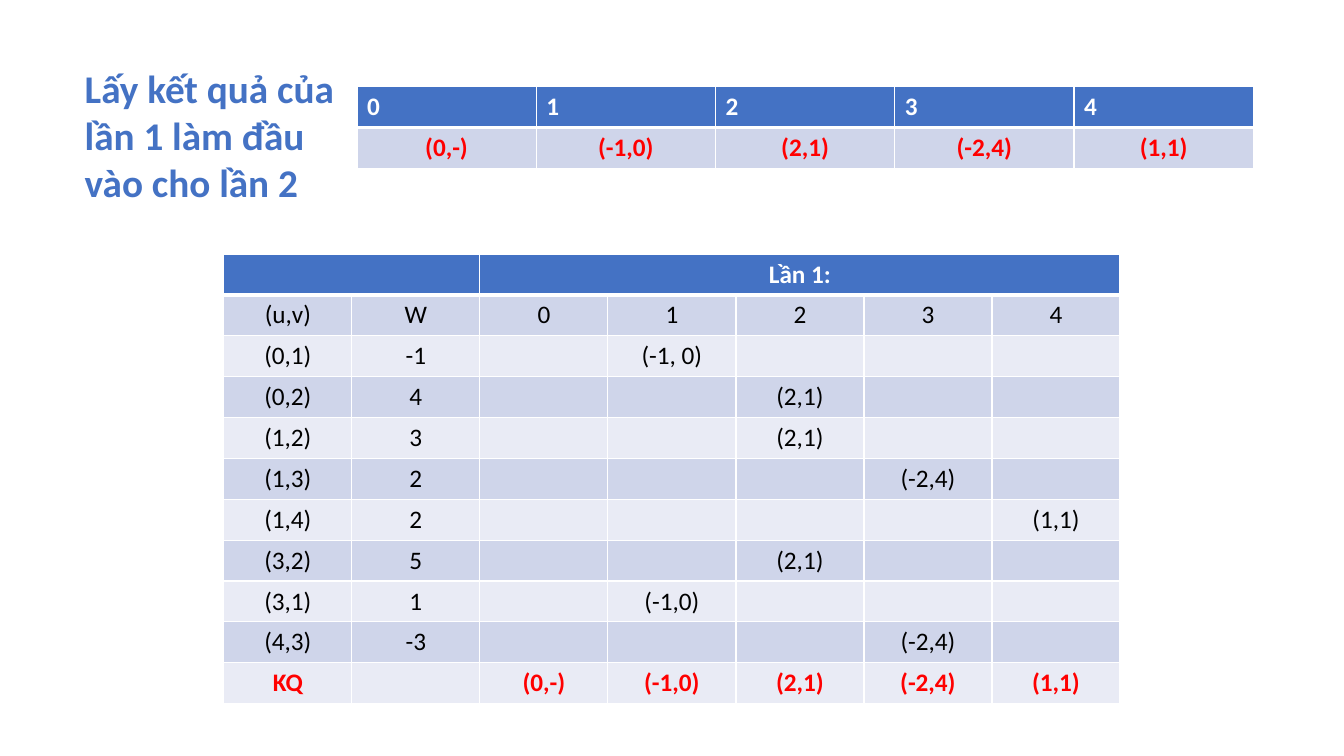
import dataclasses

import lxml.etree
import pptx
import pptx.dml.color
import pptx.enum.text
import pptx.oxml.ns
import pptx.slide
import pptx.table
import pptx.util

Inches = pptx.util.Inches
Pt = pptx.util.Pt
ALIGN = pptx.enum.text.PP_ALIGN
FONT = "Calibri"
COLORS = {
    "blue": "4472C4",
    "dark_band": "CFD5EA",
    "light_band": "E9EBF5",
    "white": "FFFFFF",
    "black": "000000",
    "red": "FF0000",
}


@dataclasses.dataclass
class TableSpec:
    left: float
    top: float
    width: float
    height: float
    rows: list[list[str]]
    header_align: ALIGN
    merges: list[tuple[int, int]]


def rgb(name: str) -> pptx.dml.color.RGBColor:
    return pptx.dml.color.RGBColor.from_string(COLORS[name])


def format_paragraph(paragraph, size: int, color: str, bold: bool, align: ALIGN) -> None:
    paragraph.alignment = align
    for run in paragraph.runs:
        run.font.name = FONT
        run.font.size = Pt(size)
        run.font.bold = bold
        run.font.color.rgb = rgb(color)


def add_borders(cell: pptx.table._Cell, row_index: int) -> None:
    qn = pptx.oxml.ns.qn
    properties = cell._tc.get_or_add_tcPr()
    thick_side = {0: "B", 1: "T"}.get(row_index)
    for side in "LRTB":
        width = Pt(3 if side == thick_side else 1)
        line = lxml.etree.SubElement(properties, qn(f"a:ln{side}"), w=str(width))
        fill = lxml.etree.SubElement(line, qn("a:solidFill"))
        lxml.etree.SubElement(fill, qn("a:srgbClr"), val=COLORS["white"])


def format_cell(cell: pptx.table._Cell, row_index: int, last_row: int, header_align: ALIGN) -> None:
    add_borders(cell, row_index)
    is_header, is_result = row_index == 0, row_index == last_row
    band = "dark_band" if row_index % 2 else "light_band"
    cell.fill.solid()
    cell.fill.fore_color.rgb = rgb("blue" if is_header else band)
    color = "white" if is_header else "red" if is_result else "black"
    align = header_align if is_header else ALIGN.CENTER
    format_paragraph(cell.text_frame.paragraphs[0], 18, color, is_header or is_result, align)


def add_step_table(slide: pptx.slide.Slide, spec: TableSpec) -> None:
    row_count, column_count = len(spec.rows), len(spec.rows[0])
    table = slide.shapes.add_table(
        row_count, column_count,
        Inches(spec.left), Inches(spec.top), Inches(spec.width), Inches(spec.height),
    ).table
    for row_index, texts in enumerate(spec.rows):
        for column_index, text in enumerate(texts):
            cell = table.cell(row_index, column_index)
            cell.text_frame.text = text
            format_cell(cell, row_index, row_count - 1, spec.header_align)
    for first, last in spec.merges:
        table.cell(0, first).merge(table.cell(0, last))


VERTICES = ["0", "1", "2", "3", "4"]
RESULT = ["(0,-)", "(-1,0)", "(2,1)", "(-2,4)", "(1,1)"]
EDGES = [
    ("(0,1)", "-1", 1, "(-1, 0)"),
    ("(0,2)", "4", 2, "(2,1)"),
    ("(1,2)", "3", 2, "(2,1)"),
    ("(1,3)", "2", 3, "(-2,4)"),
    ("(1,4)", "2", 4, "(1,1)"),
    ("(3,2)", "5", 2, "(2,1)"),
    ("(3,1)", "1", 1, "(-1,0)"),
    ("(4,3)", "-3", 3, "(-2,4)"),
]
edge_rows = [
    [edge, weight] + [label if vertex == target else "" for vertex in range(len(VERTICES))]
    for edge, weight, target, label in EDGES
]
first_pass_rows = [
    ["", "", "Lần 1:", "", "", "", ""],
    ["(u,v)", "W"] + VERTICES,
    *edge_rows,
    ["KQ", ""] + RESULT,
]
TABLES = [
    TableSpec(2.22, 2.52, 8.89, 4.46, first_pass_rows, ALIGN.CENTER, [(0, 1), (2, 6)]),
    TableSpec(3.54, 0.86, 8.89, 0.81, [VERTICES, RESULT], ALIGN.LEFT, []),
]

presentation = pptx.Presentation()
presentation.slide_width = Inches(13.33)
presentation.slide_height = Inches(7.5)
slide = presentation.slides.add_slide(presentation.slide_layouts[5])

for table_spec in TABLES:
    add_step_table(slide, table_spec)

title = slide.shapes.title
title.left, title.top = Inches(0.74), Inches(0.59)
title.width, title.height = Inches(2.96), Inches(1.51)
title.text_frame.text = "Lấy kết quả của lần 1 làm đầu vào cho lần 2"
title.text_frame.word_wrap = True
title.text_frame.auto_size = pptx.enum.text.MSO_AUTO_SIZE.NONE
title.text_frame.vertical_anchor = pptx.enum.text.MSO_ANCHOR.TOP
format_paragraph(title.text_frame.paragraphs[0], 28, "blue", True, ALIGN.LEFT)

presentation.save("out.pptx")
